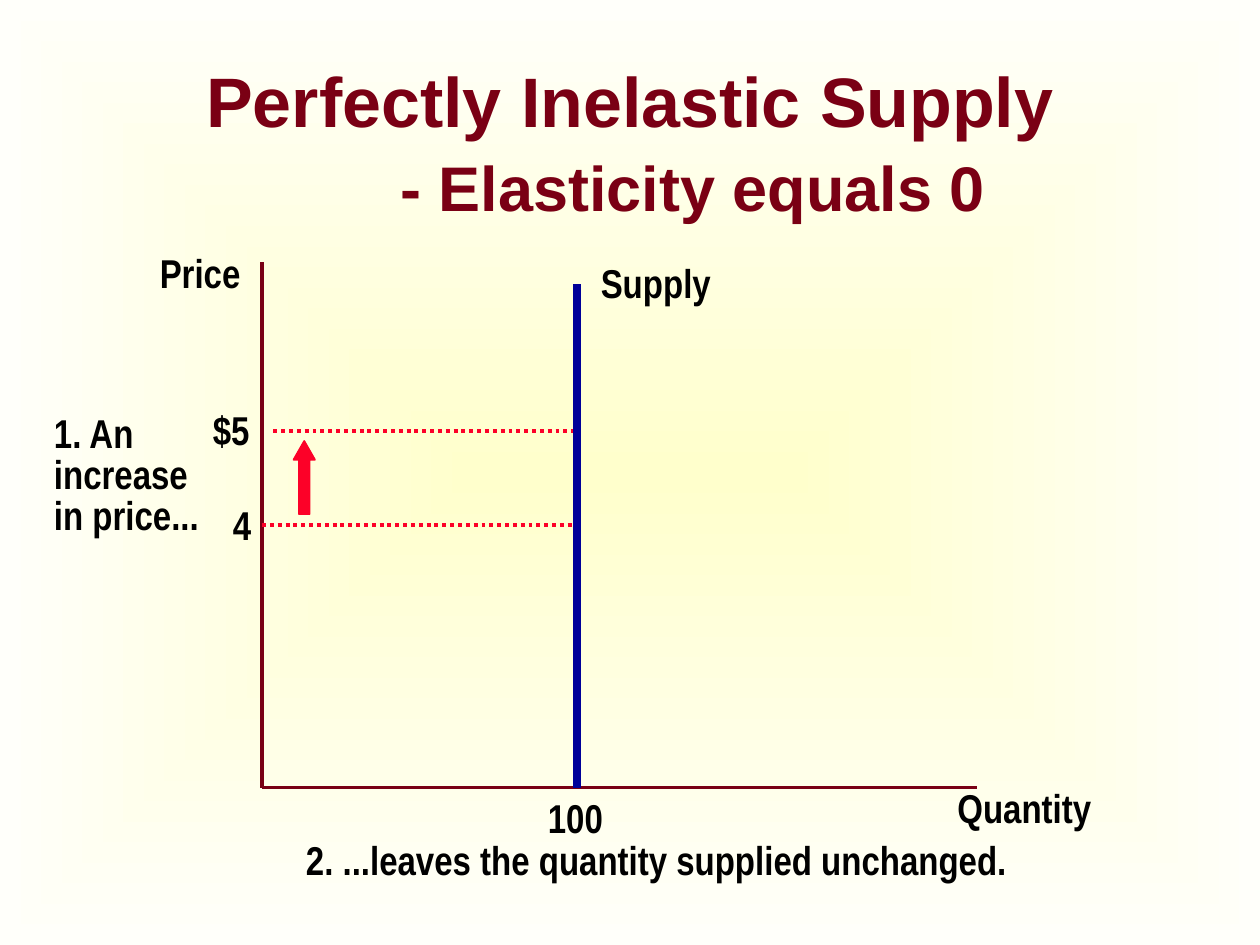
from pptx import Presentation
from pptx.dml.color import RGBColor
from pptx.enum.dml import MSO_LINE
from pptx.enum.shapes import MSO_CONNECTOR, MSO_SHAPE
from pptx.enum.text import MSO_ANCHOR, MSO_AUTO_SIZE, PP_ALIGN
from pptx.oxml.ns import qn
from pptx.util import Inches, Pt
from lxml.etree import SubElement

MAROON, AXIS, RED, BLUE, BLACK = "7A0014", "790015", "FC0128", "000099", "000000"


def color(hex_value):
    return RGBColor.from_string(hex_value)


class SupplySlide:
    """Holds the style and the current slide."""
    label_font, label_size = "Arial Narrow", 23
    title_font = "Arial"

    def __init__(self, deck):
        self.slide = deck.slides.add_slide(deck.slide_layouts[5])

    def background(self, center, edge):
        fill = self.slide.background.fill
        fill.gradient()
        for stop, (position, value) in zip(fill.gradient_stops, ((0, center), (1, edge))):
            stop.position = position
            stop.color.rgb = color(value)
        # Radiate from the middle of the slide
        gradient = self.slide.element.find(".//" + qn("a:gradFill"))
        gradient.remove(gradient.find(qn("a:lin")))
        radial = SubElement(gradient, qn("a:path"), path="rect")
        SubElement(radial, qn("a:fillToRect"), l="50000", t="50000", r="50000", b="50000")

    def style(self, paragraph, font_name, size, hex_value):
        font = paragraph.font
        font.name, font.size, font.bold = font_name, Pt(size), True
        font.color.rgb = color(hex_value)

    def title(self, heading, subheading, left, top, width, height):
        title = self.slide.shapes.title
        title.left, title.top = Inches(left), Inches(top)
        title.width, title.height = Inches(width), Inches(height)
        frame = title.text_frame
        frame.auto_size = MSO_AUTO_SIZE.NONE
        frame.vertical_anchor = MSO_ANCHOR.MIDDLE
        paragraph = frame.paragraphs[0]
        paragraph.text = heading + "\v\t"
        paragraph.alignment = PP_ALIGN.CENTER
        tabs = SubElement(paragraph._p.get_or_add_pPr(), qn("a:tabLst"))
        for inch in range(8):
            SubElement(tabs, qn("a:tab"), pos=str(Inches(inch)), algn="l")
        self.style(paragraph, self.title_font, 40, MAROON)
        second = paragraph.add_run()
        second.text = subheading
        second.font.size = Pt(36)

    def label(self, text, left, top, width, height=0.49, spacing=None):
        box = self.slide.shapes.add_textbox(
            Inches(left), Inches(top), Inches(width), Inches(height))
        frame = box.text_frame
        frame.word_wrap = False
        frame.auto_size = MSO_AUTO_SIZE.SHAPE_TO_FIT_TEXT
        frame.text = text
        for paragraph in frame.paragraphs:
            paragraph.line_spacing = spacing
            self.style(paragraph, self.label_font, self.label_size, BLACK)

    def line(self, x1, y1, x2, y2, hex_value, weight=2.25, dash=None):
        line = self.slide.shapes.add_connector(
            MSO_CONNECTOR.STRAIGHT, Inches(x1), Inches(y1), Inches(x2), Inches(y2))
        line.line.color.rgb = color(hex_value)
        line.line.width = Pt(weight)
        line.line.dash_style = dash
        SubElement(line._element.spPr, qn("a:effectLst"))

    def up_arrow(self, left, top, width, height, hex_value):
        arrow = self.slide.shapes.add_shape(
            MSO_SHAPE.UP_ARROW, Inches(left), Inches(top), Inches(width), Inches(height))
        arrow.adjustments[0], arrow.adjustments[1] = 0.5, 0.876
        arrow.shadow.inherit = False
        arrow.fill.solid()
        arrow.fill.fore_color.rgb = color(hex_value)
        arrow.line.color.rgb = color(hex_value)
        arrow.line.width = Pt(1)


def main():
    deck = Presentation()
    deck.slide_width, deck.slide_height = Inches(10), Inches(7.5)
    page = SupplySlide(deck)
    page.background("FFFFCC", "FFFFFA")
    page.title("Perfectly Inelastic Supply", "- Elasticity equals 0", 0, 0.5, 10, 1.25)

    # Axes
    origin_x, origin_y, supply_x = 2.08, 6.25, 4.58
    page.line(origin_x, 2.08, origin_x, origin_y, AXIS)
    page.line(origin_x, origin_y, 7.75, origin_y, AXIS)
    page.label("Quantity", 7.5, 6.17, 1.3)
    page.label("Price", 1.17, 1.92, 0.86)

    # Price levels
    for price, label_x, width, start_x, y in (("4", 1.75, 0.34, origin_x, 4.17),
                                              ("$5", 1.59, 0.49, 2.17, 3.42)):
        page.label(price, label_x, y - 0.25, width)
        page.line(start_x, y, supply_x, y, RED, dash=MSO_LINE.ROUND_DOT)

    # Supply curve
    page.label("Supply", 4.67, 2, 1.1)
    page.line(supply_x, origin_y, supply_x, 2.25, BLUE, weight=4.5)
    page.label("100", 4.25, 6.25, 0.64)

    # Explanation of the price change
    page.label("2. ...leaves the quantity supplied unchanged.", 2.33, 6.58, 5.77)
    page.label("1. An\nincrease\nin price...", 0.33, 3.25, 1.35, 1.08, spacing=0.85)
    page.up_arrow(2.33, 3.5, 0.17, 0.58, RED)

    deck.save("out.pptx")


if __name__ == "__main__":
    main()
